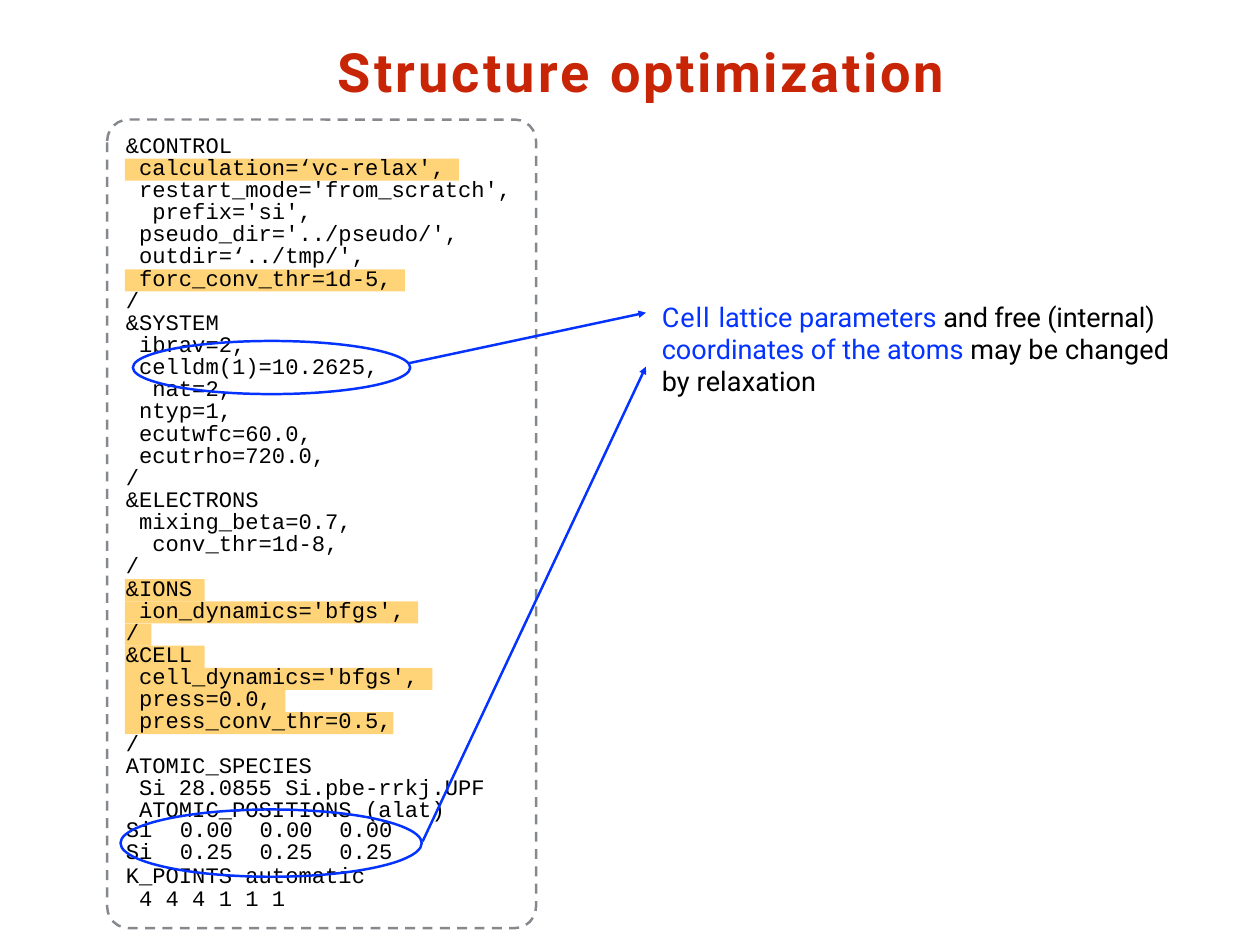
from lxml import etree
from pptx import Presentation
from pptx import util as u
from pptx.dml.color import RGBColor
from pptx.enum import dml, shapes, text
from pptx.oxml.ns import qn

COLORS = {"title": "C82506", "ink": "000000", "accent": "0433FF",
          "mark": "FFD479", "frame": "85888D"}

ROW_HEIGHT = 0.25
CODE_LEFT, CODE_TOP = 1.41, 1.54
INPUT_FILE = """\
&CONTROL
 calculation=‘vc-relax',
 restart_mode='from_scratch',
  prefix='si',
 pseudo_dir='../pseudo/',
 outdir=‘../tmp/',
 forc_conv_thr=1d-5,
/
&SYSTEM
 ibrav=2,
 celldm(1)=10.2625,
  nat=2,
 ntyp=1,
 ecutwfc=60.0,
 ecutrho=720.0,
/
&ELECTRONS
 mixing_beta=0.7,
  conv_thr=1d-8,
/
&IONS
 ion_dynamics='bfgs',
/
&CELL
 cell_dynamics='bfgs',
 press=0.0,
 press_conv_thr=0.5,
/
ATOMIC_SPECIES
 Si 28.0855 Si.pbe-rrkj.UPF
 ATOMIC_POSITIONS (alat)
Si\t0.00\t0.00\t0.00
Si\t0.25\t0.25\t0.25
K_POINTS automatic
 4 4 4 1 1 1"""
FIRST_ATOM_ROW, K_POINTS_ROW = 31, 33
ATOM_TABS = (0.61, 1.51, 2.41)
# Row number of each highlighted line and the width of its band
HIGHLIGHTS = {1: 3.77, 6: 3.16, 20: 0.9, 21: 3.31, 22: 0.3,
              23: 0.9, 24: 3.47, 25: 1.81, 26: 3.03}


class SlideBuilder:
    """Draws styled elements on one slide."""

    def __init__(self, slide):
        self.slide = slide

    def color(self, name):
        return RGBColor.from_string(COLORS[name])

    def shape(self, kind, left, top, width, height, fill=None, line=None):
        item = self.slide.shapes.add_shape(
            kind, *map(u.Inches, (left, top, width, height)))
        item.shadow.inherit = False
        if fill:
            item.fill.solid()
            item.fill.fore_color.rgb = self.color(fill)
        else:
            item.fill.background()
        if line:
            item.line.color.rgb = self.color(line)
            item.line.width = u.Pt(2)
        else:
            item.line.fill.background()
        return item

    def arrow(self, start, end):
        link = self.slide.shapes.add_connector(
            shapes.MSO_CONNECTOR.STRAIGHT, *map(u.Inches, start + end))
        link.line.color.rgb = self.color("accent")
        link.line.width = u.Pt(2)
        etree.SubElement(link.line._get_or_add_ln(), qn("a:tailEnd"), type="triangle")
        etree.SubElement(link._element.spPr, qn("a:effectLst"))

    def text_frame(self, left, top, width, height, wrap=True):
        frame = self.slide.shapes.add_textbox(
            *map(u.Inches, (left, top, width, height))).text_frame
        frame.margin_left = frame.margin_right = 0
        frame.margin_top = frame.margin_bottom = 0
        frame.vertical_anchor = text.MSO_ANCHOR.TOP
        frame.word_wrap = wrap
        return frame

    def font(self, paragraph, name, size, color="ink", bold=False):
        font = paragraph.font
        font.name, font.size, font.bold = name, u.Pt(size), bold
        font.color.rgb = self.color(color)

    def runs(self, paragraph, parts):
        """Add (wording, colour, letter spacing in points) runs."""
        for wording, color, spacing in parts:
            run = paragraph.add_run()
            run.text = wording
            run.font.color.rgb = self.color(color)
            run.font._element.set("spc", str(round(spacing * 100)))

    def tabs(self, paragraph, stops):
        tab_list = etree.SubElement(paragraph._p.get_or_add_pPr(), qn("a:tabLst"))
        for stop in stops:
            etree.SubElement(tab_list, qn("a:tab"), pos=str(u.Inches(stop)), algn="l")

    def code(self, left, top, width, listing):
        lines = listing.split("\n")
        frame = self.text_frame(left, top, width, len(lines) * ROW_HEIGHT, wrap=False)
        for row, line in enumerate(lines):
            paragraph = frame.paragraphs[0] if row == 0 else frame.add_paragraph()
            paragraph.add_run().text = line
            if "\t" in line:
                self.tabs(paragraph, ATOM_TABS)
            paragraph.line_spacing = u.Pt(16.2 if row == FIRST_ATOM_ROW else 18)
            if row == K_POINTS_ROW:
                paragraph.space_before = u.Pt(1.8)
            self.font(paragraph, "Courier New", 18)


def main():
    prs = Presentation()
    prs.slide_width, prs.slide_height = u.Inches(14.22), u.Inches(10.67)
    page = SlideBuilder(prs.slides.add_slide(prs.slide_layouts[6]))
    kinds = shapes.MSO_SHAPE

    # Title
    title = page.text_frame(3.81, 0.43, 9.39, 0.75).paragraphs[0]
    page.font(title, "Roboto", 44, "title", bold=True)
    page.runs(title, [("Structure ", "title", 2.6), ("optimization", "title", 2.1)])

    # Input file with highlighted rows
    for row, width in HIGHLIGHTS.items():
        page.shape(kinds.RECTANGLE, CODE_LEFT, CODE_TOP + row * ROW_HEIGHT,
                   width, ROW_HEIGHT, fill="mark")
    page.code(CODE_LEFT + 0.01, CODE_TOP - 0.01, 4.5, INPUT_FILE)

    # Dashed frame
    frame = page.shape(kinds.ROUNDED_RECTANGLE, 1.21, 1.35, 4.84, 9.13, line="frame")
    frame.adjustments[0] = 0.05
    frame.line.dash_style = dml.MSO_LINE.DASH

    # Circled parameters and arrows to the remark
    page.shape(kinds.OVAL, 1.5, 3.85, 3.13, 0.6, line="accent")
    page.arrow((4.62, 4.1), (7.29, 3.53))
    page.shape(kinds.OVAL, 1.36, 9.14, 3.4, 0.76, line="accent")
    page.arrow((4.77, 9.5), (7.29, 4.14))

    # Remark
    remark = page.text_frame(7.47, 3.4, 6, 1.09).paragraphs[0]
    remark.line_spacing = u.Pt(26)
    page.font(remark, "Roboto", 22)
    page.runs(remark, [
        ("Cell ", "accent", 0.8),
        ("lattice parameters ", "accent", 0),
        ("and free (internal) ", "ink", -0.1),
        ("coordinates of the atoms ", "accent", 0),
        ("may be changed by relaxation", "ink", 0.1),
    ])

    prs.save("out.pptx")


if __name__ == "__main__":
    main()
